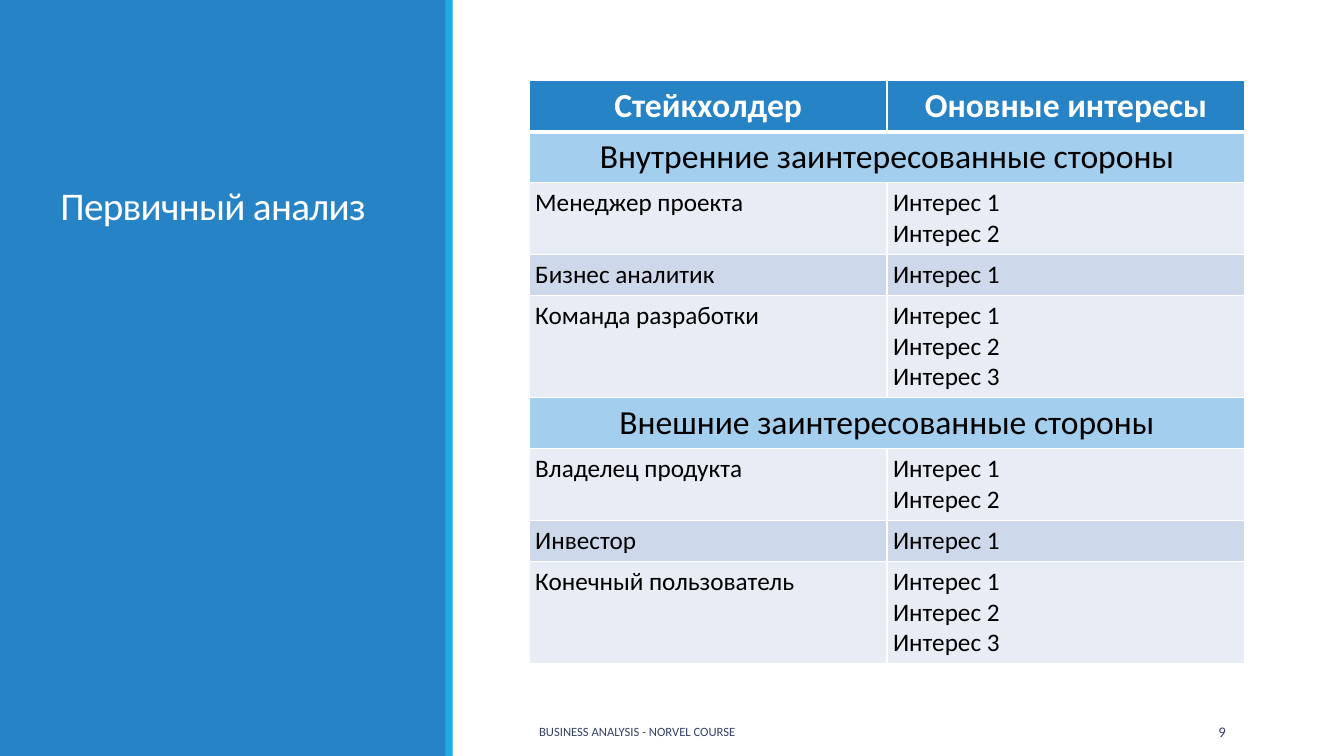
from lxml.etree import SubElement
from pptx import Presentation
from pptx.dml.color import RGBColor
from pptx.enum.shapes import MSO_SHAPE as Shape
from pptx.enum.text import MSO_ANCHOR as Anchor, MSO_AUTO_SIZE as AutoSize, PP_ALIGN as Align
from pptx.oxml.ns import qn
from pptx.util import Pt

TITLE = "Первичный анализ"
FOOTER = "BUSINESS ANALYSIS - NORVEL COURSE"
PAGE_NUMBER = "9"
HEADINGS = ("Стейкхолдер", "Оновные интересы")
# Each group: name, then (stakeholder, number of interests)
GROUPS = [
    ("Внутренние заинтересованные стороны",
     [("Менеджер проекта", 2), ("Бизнес аналитик", 1), ("Команда разработки", 3)]),
    ("Внешние заинтересованные стороны",
     [("Владелец продукта", 2), ("Инвестор", 1), ("Конечный пользователь", 3)]),
]

FONT = "Calibri"
WHITE = RGBColor(0xFF, 0xFF, 0xFF)
BLACK = RGBColor(0, 0, 0)
BLUE = RGBColor(0x26, 0x83, 0xC6)
CYAN = RGBColor(0x1C, 0xAD, 0xE4)
GROUP_BLUE = RGBColor(0xA3, 0xCE, 0xED)
BANDS = (RGBColor(0xE8, 0xED, 0xF5), RGBColor(0xCD, 0xD9, 0xEA))
NAVY = RGBColor(0x34, 0x40, 0x68)

WIDTH, HEIGHT = 960, 540
TABLE_LEFT, TABLE_TOP, COLUMN_WIDTH = 378, 57.6, 255.6
LARGE, SMALL = 24, 18
INSET_X, INSET_Y = 4.32, 3.6
LINE_SPACING = 1.22


def set_font(para, size, color, bold=False):
    font = para.font
    font.name, font.size, font.bold = FONT, Pt(size), bold
    font.color.rgb = color


def add_panel(page, left, width, color):
    panel = page.shapes.add_shape(Shape.RECTANGLE, Pt(left), 0, Pt(width), Pt(HEIGHT))
    panel.shadow.inherit = False
    panel.fill.solid()
    panel.fill.fore_color.rgb = color
    panel.line.fill.background()


def add_title(page):
    title = page.shapes.title
    title.left, title.top, title.width, title.height = Pt(36), Pt(46.8), Pt(252), Pt(120.24)
    title.element.getparent().append(title.element)  # in front of the panels
    frame = title.text_frame
    frame.text = TITLE
    frame.word_wrap, frame.auto_size = True, AutoSize.NONE
    frame.vertical_anchor = Anchor.BOTTOM
    para = frame.paragraphs[0]
    para.alignment, para.line_spacing = Align.LEFT, 0.85
    set_font(para, 28, WHITE)
    para.runs[0].font._element.set("spc", "-50")


def add_footer(page, text, left, width, size, align):
    box = page.shapes.add_textbox(Pt(left), Pt(508.32), Pt(width), Pt(28.8))
    frame = box.text_frame
    frame.text = text
    frame.word_wrap, frame.vertical_anchor = True, Anchor.MIDDLE
    frame.paragraphs[0].alignment = align
    set_font(frame.paragraphs[0], size, NAVY)


def set_borders(cell, top, bottom):
    for side, width in (("L", 1), ("R", 1), ("T", top), ("B", bottom)):
        line = SubElement(cell._tc.get_or_add_tcPr(), qn(f"a:ln{side}"), w=str(Pt(width)))
        fill = SubElement(line, qn("a:solidFill"))
        SubElement(fill, qn("a:srgbClr"), val=str(WHITE))


def fill_cell(cell, lines, size, color, background, align, bold):
    cell.margin_left = cell.margin_right = Pt(INSET_X)
    cell.margin_top = cell.margin_bottom = Pt(INSET_Y)
    cell.fill.solid()
    cell.fill.fore_color.rgb = background
    cell.text_frame.text = "\n".join(lines)
    for para in cell.text_frame.paragraphs:
        para.alignment = align
        set_font(para, size, color, bold)


def table_rows():
    """Give each row as cells (lists of lines), size, colour, fill, alignment, bold."""
    rows = [([[name] for name in HEADINGS], LARGE, WHITE, BLUE, Align.CENTER, True)]
    for group, members in GROUPS:
        rows.append(([[group]], LARGE, BLACK, GROUP_BLUE, Align.CENTER, False))
        for index, (name, count) in enumerate(members):
            interests = [f"Интерес {number}" for number in range(1, count + 1)]
            rows.append(([[name], interests], SMALL, BLACK, BANDS[index % 2], Align.LEFT, False))
    return rows


def add_stakeholder_table(page):
    rows = table_rows()
    heights = [max(map(len, cells)) * size * LINE_SPACING + 2 * INSET_Y
               for cells, size, *_ in rows]
    table = page.shapes.add_table(len(rows), 2, Pt(TABLE_LEFT), Pt(TABLE_TOP),
                                  Pt(2 * COLUMN_WIDTH), Pt(sum(heights))).table
    for column in table.columns:
        column.width = Pt(COLUMN_WIDTH)
    for index, (cells, *style) in enumerate(rows):
        table.rows[index].height = Pt(heights[index])
        for column in range(2):
            set_borders(table.cell(index, column), 3 if index == 1 else 1, 3 if index == 0 else 1)
        if len(cells) == 1:
            table.cell(index, 0).merge(table.cell(index, 1))
        for column, lines in enumerate(cells):
            fill_cell(table.cell(index, column), lines, *style)


def main():
    deck = Presentation()
    deck.slide_width, deck.slide_height = Pt(WIDTH), Pt(HEIGHT)
    page = deck.slides.add_slide(deck.slide_layouts[5])
    add_panel(page, 0, 319, BLUE)
    add_panel(page, 318.24, 5.04, CYAN)
    add_title(page)
    add_stakeholder_table(page)
    add_footer(page, PAGE_NUMBER, 779.76, 102.96, 10.5, Align.RIGHT)
    add_footer(page, FOOTER, TABLE_LEFT, 365.76, 9, Align.LEFT)
    deck.save("out.pptx")


if __name__ == "__main__":
    main()
